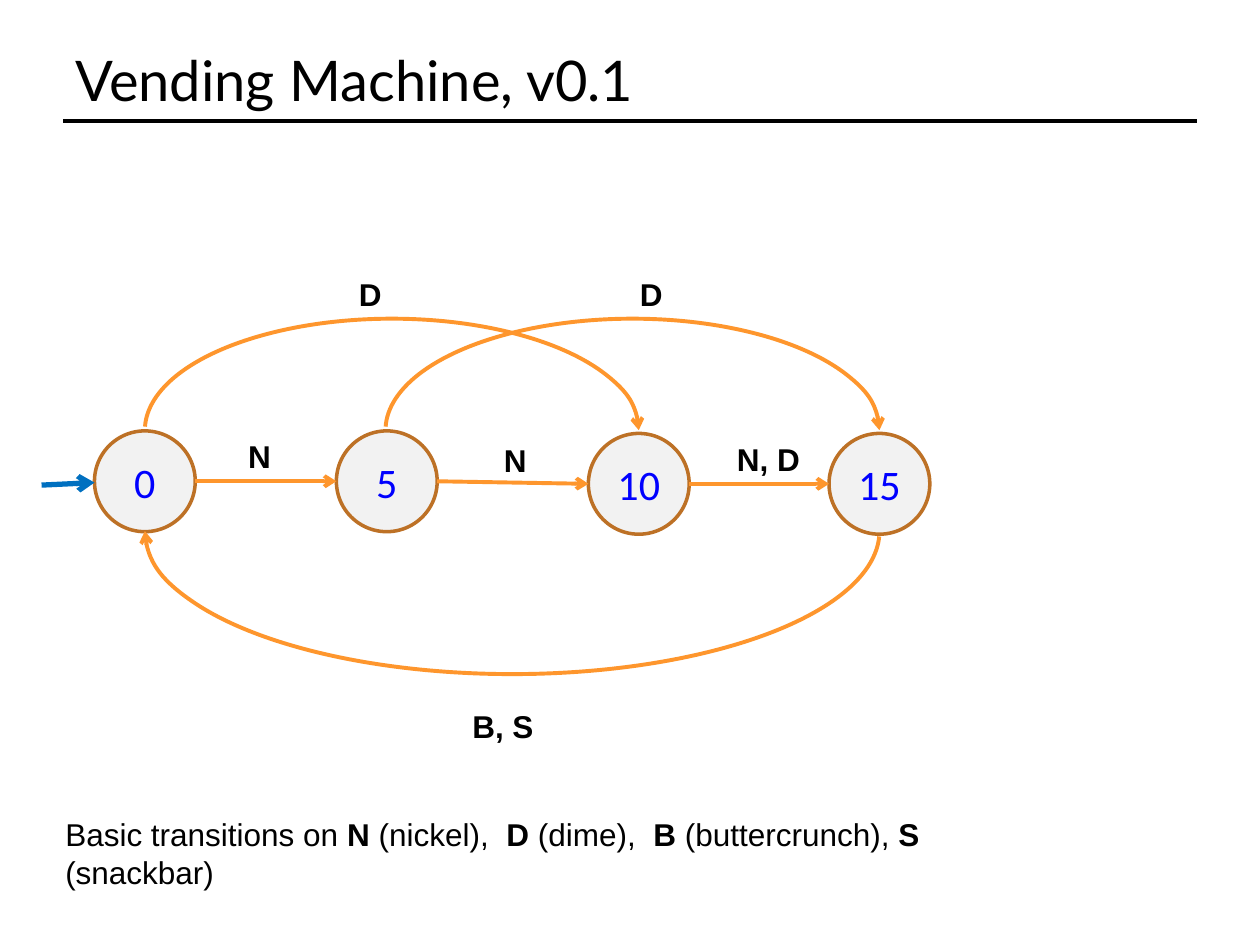
"""Build the vending machine state diagram slide."""
import lxml.etree
import pptx
import pptx.dml.color
import pptx.enum.shapes
import pptx.enum.text
import pptx.oxml.ns
import pptx.util

hue = pptx.dml.color.RGBColor.from_string
tag = pptx.oxml.ns.qn
kind = pptx.enum.shapes.MSO_SHAPE
mid = pptx.enum.text.MSO_ANCHOR.MIDDLE
grow = pptx.enum.text.MSO_AUTO_SIZE.SHAPE_TO_FIT_TEXT


def stroke(shape, color, width, arrow=False):
    shape.line.color.rgb = hue(color)
    shape.line.width = pptx.util.Pt(width)
    props = shape._element.spPr
    if arrow:
        lxml.etree.SubElement(props.find(tag("a:ln")), tag("a:tailEnd"), type="arrow")
    lxml.etree.SubElement(props, tag("a:effectLst"))


def write(shape, runs, face, size, color="000000"):
    shape.text_frame.word_wrap = False
    para = shape.text_frame.paragraphs[0]
    for text, bold, gap in runs:
        run = para.add_run()
        run.text = text
        run.font.name = face
        run.font.size = pptx.util.Pt(size)
        run.font.bold = bold
        run.font.color.rgb = hue(color)
        if gap:
            run._r.get_or_add_rPr().set("spc", str(gap))
    return para


deck = pptx.Presentation()
deck.slide_width = pptx.util.Inches(10)
deck.slide_height = pptx.util.Inches(7.5)
col = deck.slide_width / 100
row = deck.slide_height / 75
slide = deck.slides.add_slide(deck.slide_layouts[6])
shapes = slide.shapes

title = shapes.add_textbox(int(5 * col), int(3 * row), int(90 * col), int(6.6 * row))
title.text_frame.vertical_anchor = mid
write(title, [("Vending Machine, v0.1", False, 0)], "Lato", 32)

side = 8
states = [("0", 7.5, 34.2), ("5", 26.7, 34.2), ("10", 46.7, 34.4), ("15", 65.8, 34.4)]
for name, x, y in states:
    node = shapes.add_shape(kind.OVAL, int(x * col), int(y * row), int(side * col), int(side * row))
    node.fill.solid()
    node.fill.fore_color.rgb = hue("F2F2F2")
    stroke(node, "BD7126", 2)
    node.text_frame.vertical_anchor = mid
    para = write(node, [(name, False, 0)], "Calibri", 24, "0000FF")
    para.alignment = pptx.enum.text.PP_ALIGN.CENTER

lines = [(5, 9.6, 95, 9.6, "000000", 2, False),
         (3.3, 38.5, 7.5, 38.3, "0070C0", 3, True)]
for (_, x, y), (_, x2, y2) in zip(states, states[1:]):
    lines.append((x + side, y + side / 2, x2, y2 + side / 2, "FE962D", 2.25, True))
for x, y, x2, y2, color, width, arrow in lines:
    link = shapes.add_connector(pptx.enum.shapes.MSO_CONNECTOR.STRAIGHT,
                                int(x * col), int(y * row), int(x2 * col), int(y2 * row))
    stroke(link, color, width, arrow)

for x, y, w, h, turn in [(30.6, 25.3, 39.2, 17.7, 0), (11.5, 30.8, 58.3, 22.7, 180),
                         (11.5, 25.3, 39.2, 17.7, 0)]:
    arc = shapes.add_shape(kind.ARC, int(x * col), int(y * row), int(w * col), int(h * row))
    arc.adjustments[0] = 108.5
    arc.adjustments[1] = 0
    arc.rotation = turn
    arc.fill.background()
    stroke(arc, "FE962D", 2.25, True)

key = [("Basic transitions on ", False, 0), ("N ", True, 0), ("(nickel),", False, 0),
       (" ", False, 500), ("D", True, 0), (" (dime),", False, 0), (" ", False, 500),
       ("B", True, 0), (" (buttercrunch), ", False, 0), ("S", True, 0),
       (" (snackbar)", False, 0)]
notes = [(x, y, w, [(text, True, 0)]) for x, y, w, text in [
    (27.5, 21.3, 3.8, "D"), (49.8, 21.3, 3.8, "D"), (18.7, 34.2, 3.8, "N"),
    (39, 34.5, 3.8, "N"), (57.5, 34.4, 7.1, "N, D"), (36.5, 55.6, 6.9, "B, S")]]
for x, y, w, runs in notes + [(4.2, 64.2, 80.7, key)]:
    note = shapes.add_textbox(int(x * col), int(y * row), int(w * col), int(4 * row))
    note.text_frame.auto_size = grow
    write(note, runs, "Arial", 18)

deck.save("out.pptx")
